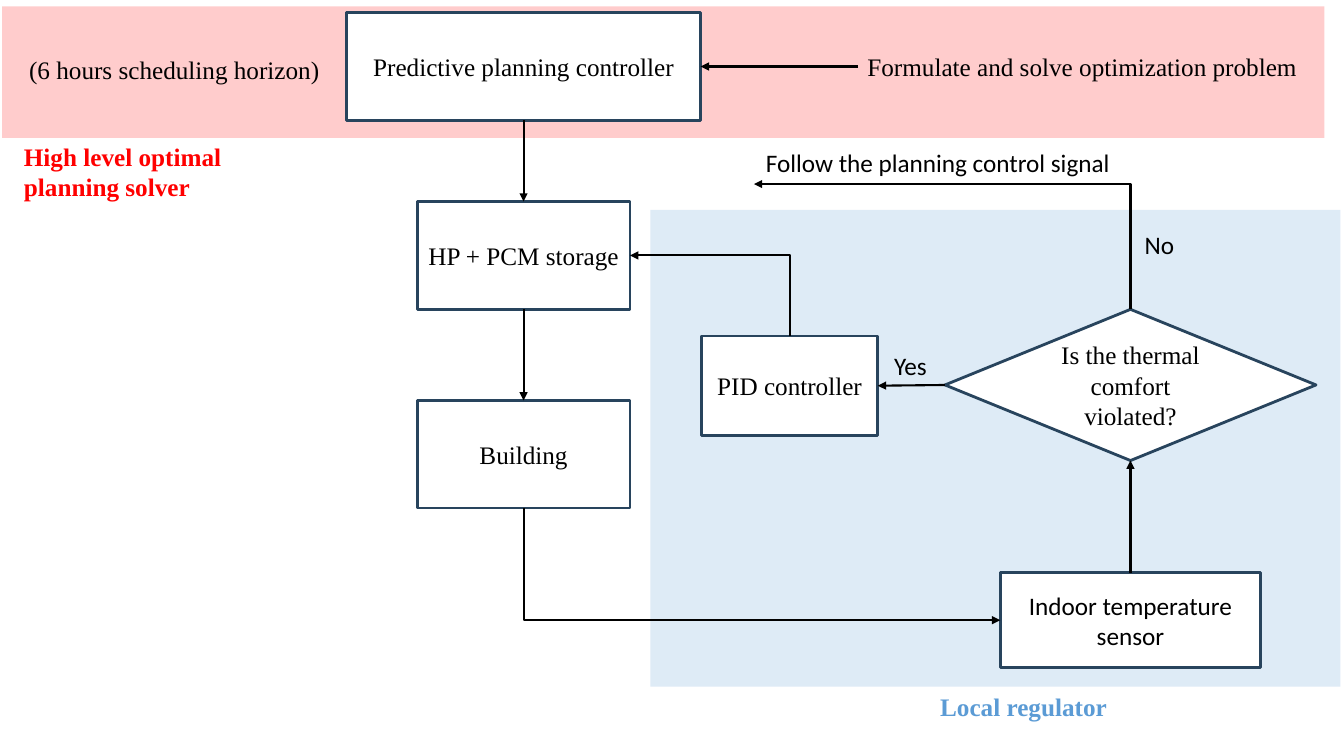
import pptx
import pptx.util
import pptx.dml.color
import pptx.enum.shapes
import pptx.enum.text
import pptx.oxml
import pptx.oxml.ns
import lxml.etree

Pt = pptx.util.Pt
RGBColor = pptx.dml.color.RGBColor
SHAPE = pptx.enum.shapes.MSO_SHAPE
CONNECTOR = pptx.enum.shapes.MSO_CONNECTOR
ALIGN = pptx.enum.text.PP_ALIGN
ANCHOR = pptx.enum.text.MSO_ANCHOR
qn = pptx.oxml.ns.qn

BLACK = RGBColor(0x00, 0x00, 0x00)
WHITE = RGBColor(0xFF, 0xFF, 0xFF)
RED = RGBColor(0xFF, 0x00, 0x00)
BLUE = RGBColor(0x5B, 0x9B, 0xD5)
NAVY = RGBColor(0x28, 0x44, 0x5D)
SERIF = "Times New Roman"
SANS = "Calibri"
TOP, LEFT, BOTTOM, RIGHT = range(4)  # connection sites


class Flowchart:
    """Holds the style and the current slide."""

    font_format = {"name": SERIF, "size": Pt(18), "bold": False}
    box_line, arrow_line = Pt(2), Pt(1.5)

    def __init__(self, slide):
        self.shapes = slide.shapes

    def fill_text(self, frame, text, align, color=BLACK, **changes):
        frame.word_wrap = True
        paragraph = frame.paragraphs[0]
        paragraph.alignment = align
        run = paragraph.add_run()
        run.text = text
        for key, value in {**self.font_format, **changes}.items():
            setattr(run.font, key, value)
        run.font.color.rgb = color

    def shape(self, kind, bounds, fill):
        shape = self.shapes.add_shape(kind, *map(Pt, bounds))
        shape.shadow.inherit = False
        shape.fill.solid()
        shape.fill.fore_color.rgb = fill
        return shape

    def band(self, bounds, color):
        band = self.shape(SHAPE.RECTANGLE, bounds, color)
        band.line.fill.background()
        tint = band._element.spPr.find(qn("a:solidFill"))[0]
        lxml.etree.SubElement(tint, qn("a:alpha")).set("val", "20000")

    def step(self, text, bounds, kind=SHAPE.RECTANGLE, **changes):
        step = self.shape(kind, bounds, WHITE)
        step.line.color.rgb = NAVY
        step.line.width = self.box_line
        step.text_frame.vertical_anchor = ANCHOR.MIDDLE
        self.fill_text(step.text_frame, text, ALIGN.CENTER, **changes)
        return step

    def label(self, text, bounds, align=ALIGN.LEFT, **changes):
        frame = self.shapes.add_textbox(*map(Pt, bounds)).text_frame
        self.fill_text(frame, text, align, **changes)
        frame.auto_size = pptx.enum.text.MSO_AUTO_SIZE.SHAPE_TO_FIT_TEXT

    def arrow(self, kind, *ends):
        arrow = self.shapes.add_connector(kind, *map(Pt, ends))
        arrow.line.color.rgb = BLACK
        arrow.line.width = self.arrow_line
        properties = arrow._element.spPr
        head = lxml.etree.SubElement(properties.find(qn("a:ln")), qn("a:tailEnd"))
        head.set("type", "triangle")
        lxml.etree.SubElement(properties, qn("a:effectLst"))
        return arrow

    def link(self, source, source_side, target, target_side):
        arrow = self.arrow(CONNECTOR.STRAIGHT, 0, 0, 0, 0)
        arrow.begin_connect(source, source_side)
        arrow.end_connect(target, target_side)

    def bend(self, x1, y1, x2, y2):
        """Arrow that runs vertically first, then horizontally."""
        # A quarter turn to the left makes the first leg vertical
        middle_x, middle_y = (x1 + x2) / 2, (y1 + y2) / 2
        half_width, half_height = (y1 - y2) / 2, (x2 - x1) / 2
        arrow = self.arrow(
            CONNECTOR.ELBOW,
            middle_x - half_width, middle_y - half_height,
            middle_x + half_width, middle_y + half_height)
        properties = arrow._element.spPr
        properties.find(qn("a:xfrm")).set("rot", str(270 * 60000))
        properties.find(qn("a:prstGeom")).set("prst", "bentConnector2")


def main():
    deck = pptx.Presentation()
    deck.slide_width, deck.slide_height = Pt(960), Pt(540)
    chart = Flowchart(deck.slides.add_slide(deck.slide_layouts[6]))

    # Level backgrounds
    chart.band((1.5, 4.5, 944.5, 94), RED)
    chart.band((464.5, 150, 493, 340.5), BLUE)

    # Steps
    planner = chart.step("Predictive planning controller", (247.5, 9, 253, 77))
    storage = chart.step("HP + PCM storage", (298, 144, 152, 77))
    building = chart.step("Building", (298, 286, 152, 77))
    sensor = chart.step("Indoor temperature sensor", (714.5, 409, 186, 68), name=SANS)
    comfort = chart.step("Is the thermal comfort violated?", (675, 221, 265, 108),
                         SHAPE.FLOWCHART_DECISION)
    pid = chart.step("PID controller", (501, 240, 126, 71))

    # Straight arrows
    chart.link(planner, BOTTOM, storage, TOP)
    chart.link(storage, BOTTOM, building, TOP)
    chart.link(sensor, TOP, comfort, BOTTOM)
    chart.link(comfort, LEFT, pid, RIGHT)
    chart.arrow(CONNECTOR.STRAIGHT, 613, 47.5, 500.5, 47.5)

    # Bent arrows: building to sensor, "No" branch, PID to storage
    chart.bend(374, 363, 714.5, 443)
    chart.bend(807.5, 221, 538.5, 131.5)
    chart.bend(564, 240, 450, 182.5)

    # Planning labels
    chart.label("Formulate and solve optimization problem", (612.5, 33, 324, 29))
    chart.label("(6 hours scheduling horizon)", (11.5, 35.5, 226, 29), ALIGN.CENTER)

    # Branch labels
    chart.label("No", (810.5, 160, 51, 29), name=SANS)
    chart.label("Yes", (631.5, 247, 51, 29), name=SANS)
    chart.label("Follow the planning control signal", (540, 101.5, 341, 29), name=SANS)

    # Level names
    chart.label("Local regulator", (664.5, 490, 232, 29), color=BLUE, bold=True)
    chart.label("High level optimal planning solver", (10, 97.5, 218, 51),
                color=RED, bold=True)

    deck.save("out.pptx")


if __name__ == "__main__":
    main()
